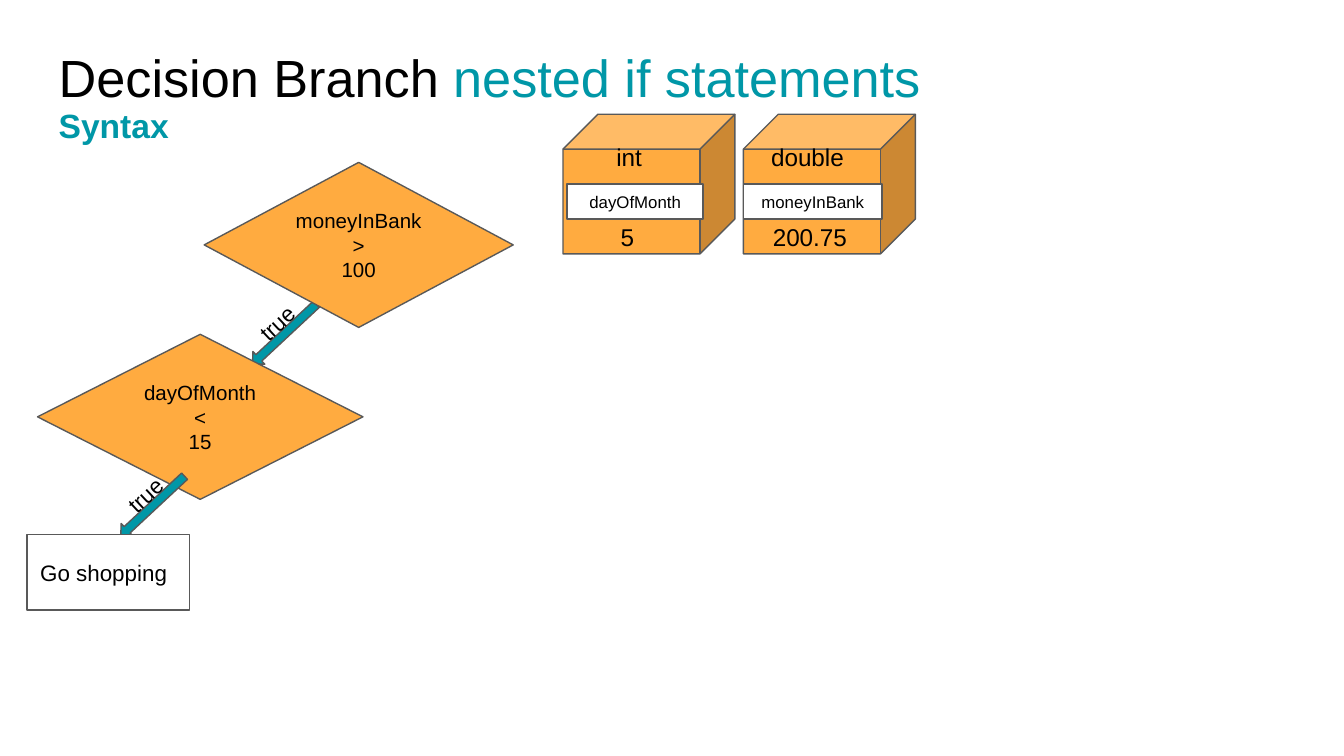
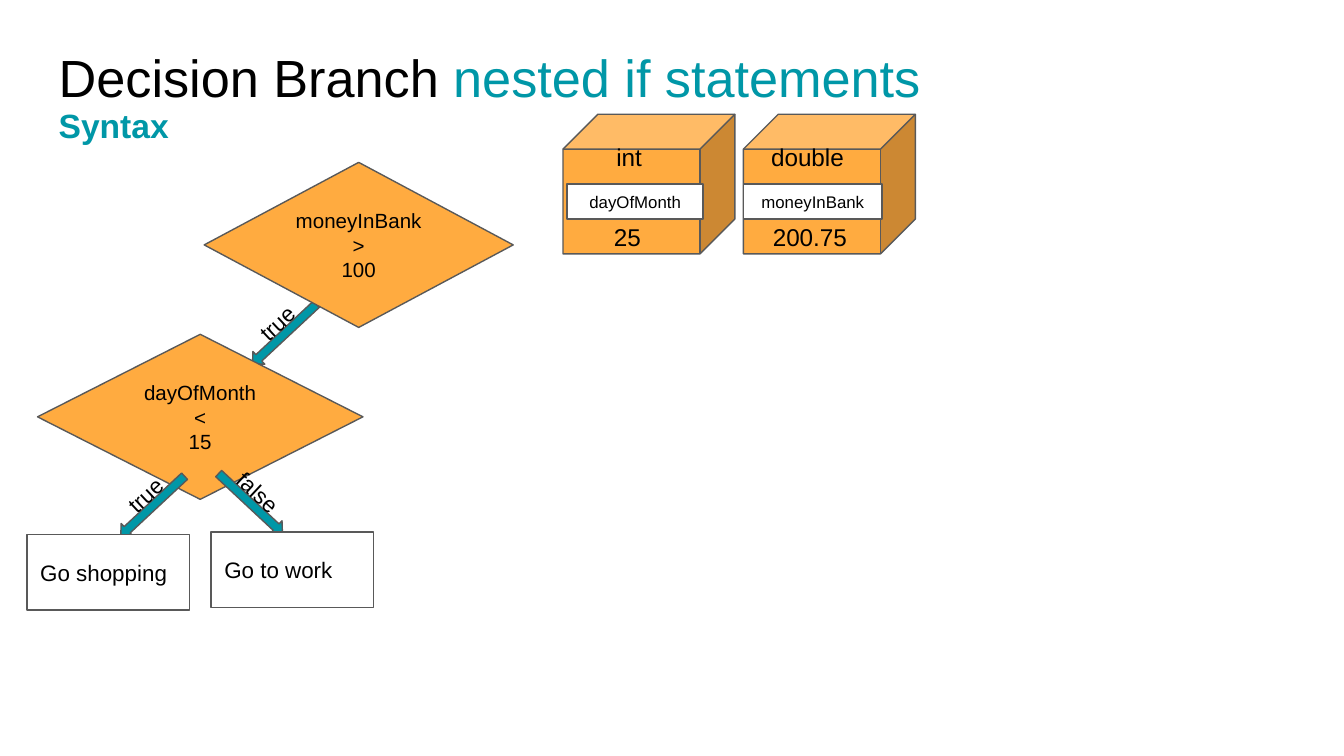
from pptx import Presentation
from pptx import util as u
from pptx.dml.color import RGBColor
from pptx.enum import shapes, text

COLOURS = {
    "ink": "000000",
    "teal": "0097A7",
    "orange": "FFAB40",
    "white": "FFFFFF",
    "outline": "595959",
}
KINDS = shapes.MSO_SHAPE
MIDDLE = text.MSO_ANCHOR.MIDDLE
CENTER = text.PP_ALIGN.CENTER
LEFT = text.PP_ALIGN.LEFT


def write_text(box, lines, size, align=LEFT, anchor=text.MSO_ANCHOR.TOP,
               bold=False, colour="ink", insets=(0.25, 0.25, 0.25, 0.25)):
    frame = box.text_frame
    frame.word_wrap = True
    frame.vertical_anchor = anchor
    frame.margin_left, frame.margin_top, frame.margin_right, frame.margin_bottom = map(u.Cm, insets)
    for index, line in enumerate(lines):
        para = frame.add_paragraph() if index else frame.paragraphs[0]
        para.alignment = align
        spans = [(line, colour)] if isinstance(line, str) else line
        for words, span_colour in spans:
            span = para.add_run()
            span.text = words
            span.font.name = "Arial"
            span.font.size = u.Pt(size)
            span.font.bold = bold
            span.font.color.rgb = RGBColor.from_string(COLOURS[span_colour])


def add_figure(page, kind, place, fill):
    figure = page.shapes.add_shape(kind, *map(u.Cm, place))
    figure.shadow.inherit = False
    figure.fill.solid()
    figure.fill.fore_color.rgb = RGBColor.from_string(COLOURS[fill])
    figure.line.color.rgb = RGBColor.from_string(COLOURS["outline"])
    figure.line.width = u.Pt(0.75)
    return figure


deck = Presentation()
deck.slide_width, deck.slide_height = u.Cm(25.4), u.Cm(14.29)

TITLE = [("Decision Branch ", "ink"), ("nested if statements", "teal")]
TRUE_TO_DAY = ("arrow", 4.55, 6.15, "true")
MONEY_TEST = ("decision", 3.86, 3.07, 5.84, ["moneyInBank", ">", "100"])
DAY_TEST = ("decision", 0.71, 6.32, 6.15, ["dayOfMonth", "<", "15"])
TRUE_TO_SHOP = ("arrow", 2.06, 9.4, "true")
SHOP = ("action", 0.51, 10.11, "Go shopping")
FALSE_TO_WORK = ("arrow", 3.91, 9.35, "false")
WORK = ("action", 3.99, 10.06, "Go to work")
SHARED_FLOW = [TRUE_TO_DAY, MONEY_TEST, DAY_TEST, TRUE_TO_SHOP, SHOP]

for day, flow in [("5", SHARED_FLOW), ("25", SHARED_FLOW + [FALSE_TO_WORK, WORK])]:
    page = deck.slides.add_slide(deck.slide_layouts[6])
    title = page.shapes.add_textbox(u.Cm(0.86), u.Cm(0.61), u.Cm(23.67), u.Cm(1.6))
    write_text(title, [TITLE], size=28)
    subtitle = page.shapes.add_textbox(u.Cm(0.86), u.Cm(1.73), u.Cm(13.74), u.Cm(1.6))
    write_text(subtitle, ["Syntax"], size=18, bold=True, colour="teal")

    variables = [
        (10.64, "int", 10.85, "dayOfMonth", 10.72, 2.57, day, 11.18, 1.35),
        (14.05, "double", 14.22, "moneyInBank", 14.05, 2.62, "200.75", 14.05, 2.51),
    ]
    for left, kind, kind_left, name, name_left, name_width, value, value_left, value_width in variables:
        add_figure(page, KINDS.CUBE, (left, 2.16, 3.25, 2.64), "orange")
        name_plate = add_figure(page, KINDS.RECTANGLE, (name_left, 3.48, name_width, 0.66), "white")
        write_text(name_plate, [name], size=9, align=CENTER, anchor=MIDDLE)
        for words, place in [
            (kind, (kind_left, 2.44, 2.08, 0.91)),
            (value, (value_left, 3.96, value_width, 0.66)),
        ]:
            box = page.shapes.add_textbox(*map(u.Cm, place))
            write_text(box, [words], size=13, align=CENTER)

    for role, left, top, *details in flow:
        if role == "arrow":
            label = details[0]
            arrow = add_figure(page, KINDS.RIGHT_ARROW, (left, top, 1.65, 0.33), "teal")
            arrow.rotation = 43
            if label == "true":
                arrow.rotation = 317
                arrow._element.spPr.xfrm.set("flipH", "1")
            write_text(arrow, [label], size=12, align=CENTER,
                       anchor=text.MSO_ANCHOR.BOTTOM, insets=(0, 0, 0, 0.08))
        elif role == "decision":
            width, lines = details
            diamond = add_figure(page, KINDS.FLOWCHART_DECISION, (left, top, width, 3.12), "orange")
            write_text(diamond, lines, size=11, align=CENTER, anchor=MIDDLE)
        else:
            action = add_figure(page, KINDS.FLOWCHART_PROCESS, (left, top, 3.07, 1.42), "white")
            write_text(action, details, size=12, anchor=MIDDLE)

deck.save("out.pptx")
